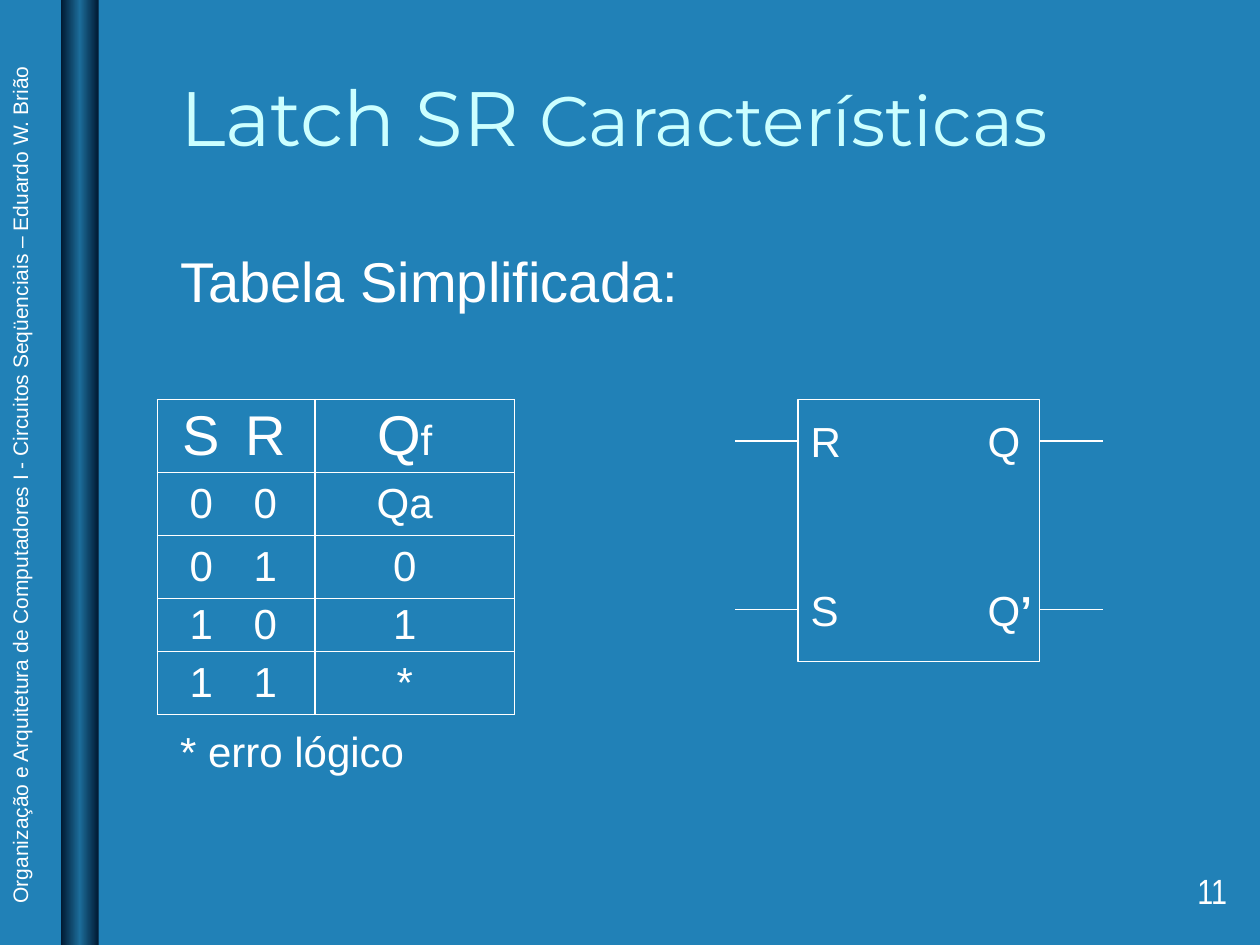
from copy import deepcopy

from lxml import etree
from pptx import Presentation
from pptx.dml.color import RGBColor
from pptx.enum.shapes import MSO_CONNECTOR, MSO_SHAPE
from pptx.enum.text import MSO_ANCHOR, PP_ALIGN
from pptx.oxml.ns import qn
from pptx.util import Cm, Pt

RECT = MSO_SHAPE.RECTANGLE
STRAIGHT = MSO_CONNECTOR.STRAIGHT
TOP, MIDDLE, BOTTOM = MSO_ANCHOR.TOP, MSO_ANCHOR.MIDDLE, MSO_ANCHOR.BOTTOM
LEFT, CENTER, RIGHT = PP_ALIGN.LEFT, PP_ALIGN.CENTER, PP_ALIGN.RIGHT

# Content: text runs are (text, size, bold)
WHITE, TITLE_COLOR, BACKGROUND = "FFFFFF", "CCFFFF", "2181B7"
BAND = [(0, "001932"), (0.5, "1C6D9A"), (1, "001932")]
COURSE = ("Organização e Arquitetura de Computadores I - "
          "Circuitos Seqüenciais – Eduardo W. Brião")
TITLE = [("Latch SR ", 44, False), ("Características", 40, False)]
HEADER = [[("S", 32, False)], [("R", 32, False)],
          [("Q", 32, False), ("f", 24, False)]]
STATES = [("0", "0", "Qa"), ("0", "1", "0"), ("1", "0", "1"), ("1", "1", "*")]

# Geometry in centimetres
TABLE_LEFT, TABLE_TOP = 3.17, 8.05
COLUMNS = [(1.78, 0), (1.4, 0.6), (4.02, 0.4)]  # width, right margin
ROW_HEIGHTS = [1.48, 1.27, 1.27, 1.06, 1.27]
LATCH = (16.09, 8.05, 4.87, 5.29)
PIN_LENGTH = 1.27
PINS = [(8.89, "R", [("Q", 24, False)]),
        (12.28, "S", [("Q", 24, False), ("’", 24, True)])]


def rgb(value):
    return RGBColor.from_string(value)


def write(tf, runs, align=LEFT, font="Arial", color=WHITE):
    p = tf.paragraphs[0]
    p.alignment = align
    p.font.name = font
    p.font.color.rgb = rgb(color)
    for text, size, bold in runs:
        r = p.add_run()
        r.text = text
        r.font.size = Pt(size)
        r.font.bold = bold


def add_text(s, box, runs, wrap=True, anchor=TOP, **style):
    tb = s.shapes.add_textbox(*map(Cm, box))
    tf = tb.text_frame
    tf.word_wrap = wrap
    tf.vertical_anchor = anchor
    write(tf, runs, **style)
    return tb


def add_line(s, x1, x2, y):
    line = s.shapes.add_connector(STRAIGHT, Cm(x1), Cm(y), Cm(x2), Cm(y))
    line.line.color.rgb = rgb(WHITE)
    line.line.width = Pt(0.75)
    etree.SubElement(line._element.spPr, qn("a:effectLst"))


def set_borders(cell, visible):
    tcPr = cell._tc.get_or_add_tcPr()
    borders = []
    for side in ("L", "R", "T", "B"):
        ln = etree.Element(qn(f"a:ln{side}"), w=str(Pt(0.75)))
        if side in visible:
            fill = etree.SubElement(ln, qn("a:solidFill"))
            etree.SubElement(fill, qn("a:srgbClr"), val=WHITE)
        else:
            etree.SubElement(ln, qn("a:noFill"))
        borders.append(ln)
    tcPr[:0] = borders


def add_band(s):
    sp = s.shapes.add_shape(RECT, Cm(1.23), 0, Cm(0.76), Cm(19.05))
    sp.shadow.inherit = False
    sp.line.fill.background()
    sp.fill.gradient()
    sp.fill.gradient_angle = 0
    stops = sp._element.spPr.find(".//" + qn("a:gsLst"))
    stops.insert(1, deepcopy(stops[0]))
    for stop, (position, color) in zip(sp.fill.gradient_stops, BAND):
        stop.position = position
        stop.color.rgb = rgb(color)


def add_truth_table(s):
    rows = HEADER, *[[[(v, 24, False)] for v in row] for row in STATES]
    width = sum(w for w, _ in COLUMNS)
    table = s.shapes.add_table(len(rows), len(COLUMNS), Cm(TABLE_LEFT),
                               Cm(TABLE_TOP), Cm(width),
                               Cm(sum(ROW_HEIGHTS))).table
    table.horz_banding = False
    for column, (w, _) in zip(table.columns, COLUMNS):
        column.width = Cm(w)
    for i, (row, height) in enumerate(zip(rows, ROW_HEIGHTS)):
        table.rows[i].height = Cm(height)
        for j, runs in enumerate(row):
            cell = table.cell(i, j)
            cell.fill.background()
            cell.vertical_anchor = MIDDLE
            cell.margin_left = cell.margin_top = cell.margin_bottom = 0
            cell.margin_right = Cm(COLUMNS[j][1])
            write(cell.text_frame, runs, align=CENTER)
            # No rule between the two inputs S and R
            set_borders(cell, ("LTB", "RTB", "LRTB")[j])


def add_latch(s):
    left, top, width, height = LATCH
    sp = s.shapes.add_shape(RECT, *map(Cm, LATCH))
    sp.shadow.inherit = False
    sp.fill.background()
    sp.line.color.rgb = rgb(WHITE)
    sp.line.width = Pt(0.75)
    right = left + width
    for y, input_name, output_runs in PINS:
        add_line(s, left - PIN_LENGTH, left, y)
        add_line(s, right, right + PIN_LENGTH, y)
        add_text(s, (left, y - 0.63, 1.1, 1.27),
                 [(input_name, 24, False)], wrap=False)
        add_text(s, (right - 1.3, y - 0.63, 1.4, 1.27),
                 output_runs, wrap=False)


def main():
    prs = Presentation()
    prs.slide_width, prs.slide_height = Cm(25.4), Cm(19.05)
    s = prs.slides.add_slide(prs.slide_layouts[6])
    s.background.fill.solid()
    s.background.fill.fore_color.rgb = rgb(BACKGROUND)

    # Side band and course name
    add_band(s)
    course = add_text(s, (-8.31, 9.37, 17.42, 0.76),
                      [(COURSE, 12, False)], wrap=False)
    course.rotation = 270

    # Headings, note and page number
    add_text(s, (3.38, 0.2, 21.59, 3.18), TITLE, anchor=BOTTOM,
             font="Montserrat", color=TITLE_COLOR)
    add_text(s, (3.38, 4.84, 21.59, 1.6), [("Tabela Simplificada:", 32, False)])
    add_text(s, (3.38, 14.5, 7, 1.27), [("* erro lógico", 24, False)])
    add_text(s, (19.71, 17.4, 5.28, 1.27), [("11", 20, False)],
             align=RIGHT, font="Arial Narrow")

    # Truth table and latch symbol
    add_truth_table(s)
    add_latch(s)
    prs.save("out.pptx")


if __name__ == "__main__":
    main()
